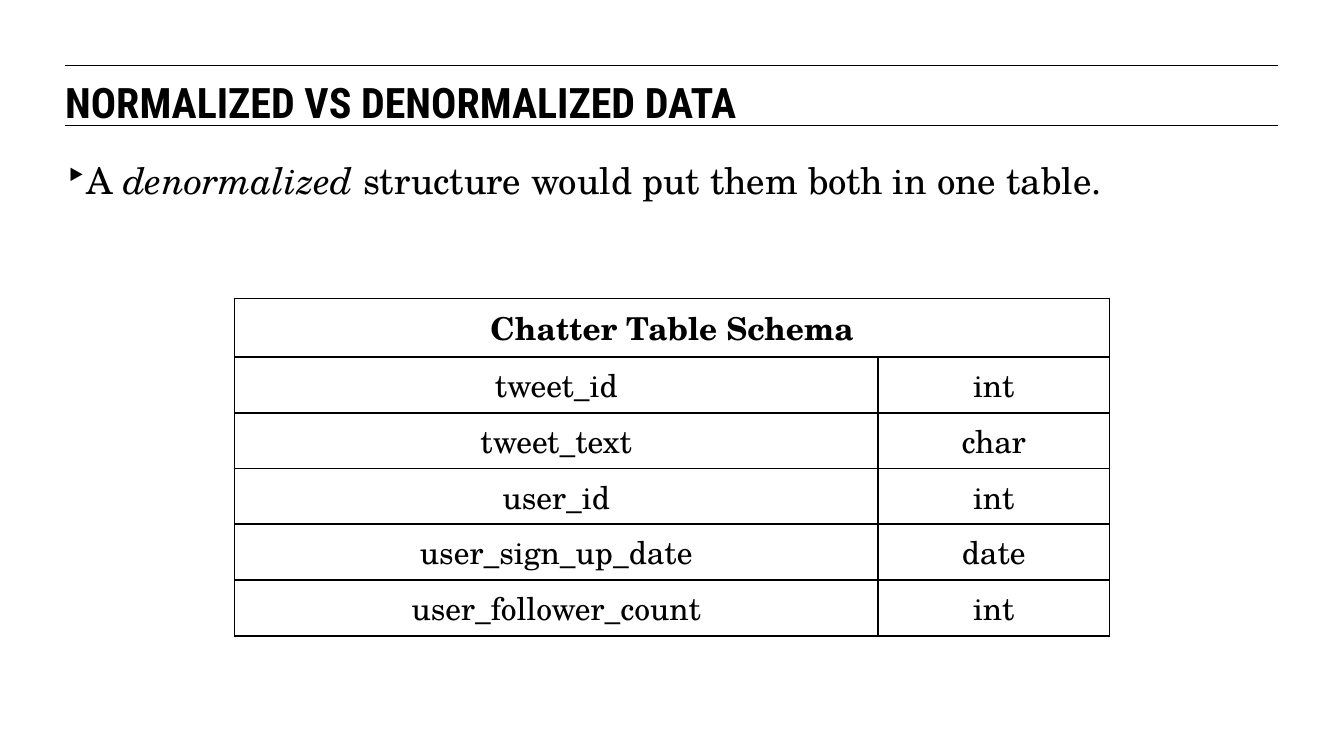
from dataclasses import dataclass

from lxml import etree
from pptx import Presentation
from pptx.dml.color import RGBColor
from pptx.enum.shapes import MSO_CONNECTOR
from pptx.enum.text import MSO_ANCHOR, PP_ALIGN
from pptx.oxml.ns import qn
from pptx.slide import Slide
from pptx.table import _Cell
from pptx.text.text import TextFrame, _Paragraph
from pptx.util import Inches, Pt

STRAIGHT = MSO_CONNECTOR.STRAIGHT
MIDDLE = MSO_ANCHOR.MIDDLE
TOP = MSO_ANCHOR.TOP
CENTER = PP_ALIGN.CENTER

COLORS = {"ink": "000000", "paper": "FFFFFF"}
HEAD_FONT = "Roboto Condensed"
BODY_FONT = "TeX Gyre Schola"
LEFT, WIDTH = 0.69, 12.83
RULES = (0.69, 1.33)
BORDER = 1.47


@dataclass
class Run:
    text: str
    size: int
    font: str = BODY_FONT
    bold: bool = False
    italic: bool = False


@dataclass
class Field:
    name: str
    kind: str


TITLE = Run("NORMALIZED VS DENORMALIZED DATA", 32, HEAD_FONT, bold=True)
POINT = (
    Run("A ", 28),
    Run("denormalized", 28, italic=True),
    Run(" structure would put them both in one table.", 28),
)
HEADER = Run("Chatter Table Schema", 24, bold=True)
FIELDS = (
    Field("tweet_id", "int"),
    Field("tweet_text", "char"),
    Field("user_id", "int"),
    Field("user_sign_up_date", "date"),
    Field("user_follower_count", "int"),
)


def color(name: str) -> RGBColor:
    return RGBColor.from_string(COLORS[name])


def add_run(para: _Paragraph, item: Run) -> None:
    run = para.add_run()
    run.text = item.text
    font = run.font
    font.name, font.size = item.font, Pt(item.size)
    font.bold, font.italic = item.bold, item.italic
    font.color.rgb = color("ink")


def add_rule(slide: Slide, top: float) -> None:
    line = slide.shapes.add_connector(
        STRAIGHT, Inches(LEFT), Inches(top), Inches(LEFT + WIDTH), Inches(top)
    )
    line.line.color.rgb = color("ink")
    line.line.width = Pt(0.75)
    etree.SubElement(line._element.spPr, qn("a:effectLst"))


def add_box(slide: Slide, top: float, height: float) -> TextFrame:
    box = slide.shapes.add_textbox(
        Inches(LEFT), Inches(top), Inches(WIDTH), Inches(height)
    )
    frame = box.text_frame
    frame.word_wrap = True
    frame.vertical_anchor = TOP
    frame.margin_left = frame.margin_right = 0
    frame.margin_top = frame.margin_bottom = 0
    return frame


def add_bullet(para: _Paragraph) -> None:
    props = para._p.get_or_add_pPr()
    props.set("marL", str(Inches(0.22)))
    props.set("indent", str(Inches(-0.28)))
    shade = etree.SubElement(props, qn("a:buClr"))
    etree.SubElement(shade, qn("a:srgbClr"), val=COLORS["ink"])
    etree.SubElement(props, qn("a:buChar"), char="‣")


def style_cell(cell: _Cell) -> None:
    """Draw the four borders, then fill the cell."""
    props = cell._tc.get_or_add_tcPr()
    for side in ("lnL", "lnR", "lnT", "lnB"):
        edge = etree.SubElement(props, qn(f"a:{side}"), w=str(Pt(BORDER)))
        fill = etree.SubElement(edge, qn("a:solidFill"))
        etree.SubElement(fill, qn("a:srgbClr"), val=COLORS["ink"])
    cell.fill.solid()
    cell.fill.fore_color.rgb = color("paper")
    cell.vertical_anchor = MIDDLE


def fill_cell(cell: _Cell, item: Run) -> None:
    para = cell.text_frame.paragraphs[0]
    para.alignment = CENTER
    add_run(para, item)


def add_schema(slide: Slide) -> None:
    widths = (6.81, 2.45)
    heights = [0.62] + [0.59] * len(FIELDS)
    table = slide.shapes.add_table(
        len(heights), len(widths), Inches(2.48), Inches(3.16),
        Inches(sum(widths)), Inches(sum(heights)),
    ).table
    table.first_row = table.horz_banding = False
    for col, width in zip(table.columns, widths):
        col.width = Inches(width)
    for row, height in zip(table.rows, heights):
        row.height = Inches(height)
    for cell in table.iter_cells():
        style_cell(cell)
    table.cell(0, 0).merge(table.cell(0, 1))
    fill_cell(table.cell(0, 0), HEADER)
    for row, field in enumerate(FIELDS, 1):
        for col, text in enumerate((field.name, field.kind)):
            fill_cell(table.cell(row, col), Run(text, 24))


def main() -> None:
    deck = Presentation()
    deck.slide_width, deck.slide_height = Inches(14.22), Inches(7.99)
    slide = deck.slides.add_slide(deck.slide_layouts[6])
    slide.background.fill.solid()
    slide.background.fill.fore_color.rgb = color("paper")
    for top in RULES:
        add_rule(slide, top)
    add_run(add_box(slide, 0.81, 0.47).paragraphs[0], TITLE)
    point = add_box(slide, 1.67, 3.91).paragraphs[0]
    add_bullet(point)
    for item in POINT:
        add_run(point, item)
    add_schema(slide)
    deck.save("out.pptx")


if __name__ == "__main__":
    main()
